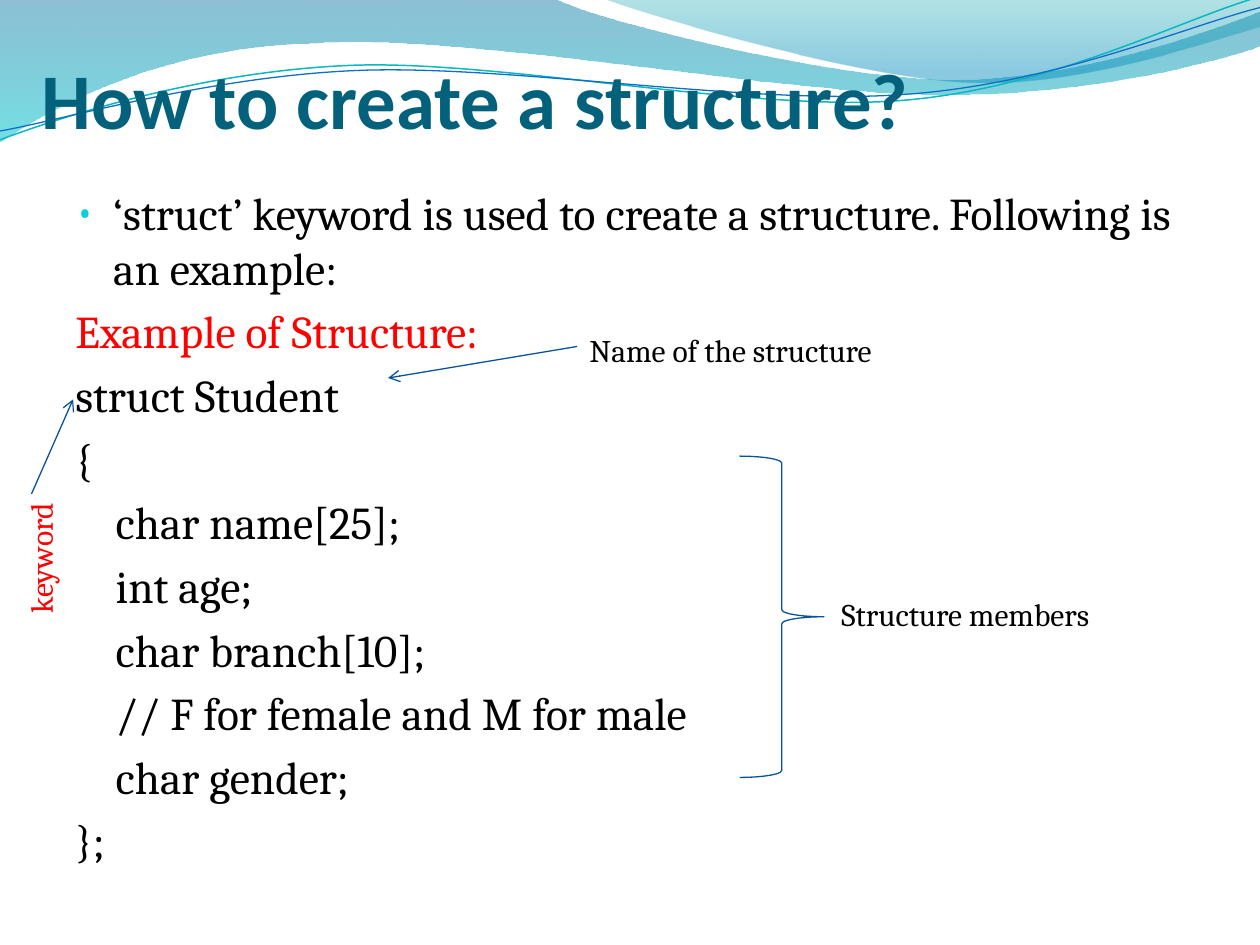
from lxml import etree
from pptx import Presentation
from pptx.dml.color import RGBColor
from pptx.enum.shapes import MSO_CONNECTOR, MSO_SHAPE
from pptx.enum.text import MSO_ANCHOR
from pptx.oxml.ns import qn
from pptx.util import Inches, Pt

BRACE = MSO_SHAPE.RIGHT_BRACE
STRAIGHT = MSO_CONNECTOR.STRAIGHT
TOP, BOTTOM = MSO_ANCHOR.TOP, MSO_ANCHOR.BOTTOM
BLACK, RED, LINE = "000000", "FF0000", "095295"

deck = Presentation()
deck.slide_width, deck.slide_height = Inches(10), Inches(7.5)
page = deck.slides.add_slide(deck.slide_layouts[6])


def rgb(value):
    return RGBColor.from_string(value)


def add_text(lines, left, top, width, height, size=18, font="Cambria", bold=False,
             anchor=TOP, insets=(0.1, 0.05, 0.1, 0.05), wrap=True, before=0):
    """Add a text box; each line is (text, color, left margin, first-line indent)."""
    box = page.shapes.add_textbox(*map(Inches, (left, top, width, height)))
    frame = box.text_frame
    frame.word_wrap, frame.vertical_anchor = wrap, anchor
    (frame.margin_left, frame.margin_top,
     frame.margin_right, frame.margin_bottom) = map(Inches, insets)
    for number, (text, color, margin, indent) in enumerate(lines):
        para = frame.add_paragraph() if number else frame.paragraphs[0]
        para.space_before = Pt(before)
        span = para.add_run()
        span.text = text
        span.font.size, span.font.name, span.font.bold = Pt(size), font, bold
        span.font.color.rgb = rgb(color)
        props = para._p.get_or_add_pPr()
        props.set("marL", str(Inches(margin)))
        props.set("indent", str(Inches(indent)))
    return box


# Header waves: each step is a line (one point) or a Bézier curve (three points)
waves = [
    dict(start=(0, 0), closed=True, stops=[(0, "0074A1", 45), (1, "00C6CF", 55)], steps=[
        [(4.4, -0.01)],
        [(4.76, 0.17), (6.64, 0.63), (7.58, 0.63)],
        [(8.53, 0.63), (9.58, 0.26), (10, 0.09)],
        [(10.01, 0.36)],
        [(9.83, 0.44), (8.7, 0.76), (7.46, 0.75)],
        [(6.22, 0.75), (3.82, 0.28), (2.57, 0.34)],
        [(1.29, 0.36), (0.46, 0.83), (-0.01, 1.13)]]),
    dict(start=(4.79, -0.01), closed=True, stops=[(0, "00A1A9", 30), (0.8, "008BBF", 45)], steps=[
        [(5.09, 0.11), (6.82, 0.62), (7.69, 0.65)],
        [(8.56, 0.69), (9.61, 0.32), (10, 0.21)],
        [(10, 0)]]),
    dict(start=(0, 1.11), closed=False, line=("0AB8BF", 0.85), steps=[
        [(0.48, 0.93), (1.58, 0.57), (2.77, 0.52)],
        [(3.95, 0.47), (5.93, 0.89), (7.13, 0.8)],
        [(8.33, 0.71), (9.38, 0.15), (9.98, -0.02)]]),
    dict(start=(0, 1.04), closed=False, line=("0F6FC6", 0.75), steps=[
        [(0.47, 0.96), (1.64, 0.61), (2.83, 0.56)],
        [(4.03, 0.51), (5.97, 0.84), (7.17, 0.75)],
        [(8.36, 0.67), (9.41, 0.21), (10, 0.06)]]),
]
for wave in waves:
    points = [tuple(map(Inches, point)) for step in wave["steps"] for point in step]
    builder = page.shapes.build_freeform(*map(Inches, wave["start"]))
    builder.add_line_segments(points, close=wave["closed"])
    shape = builder.convert_to_shape()
    shape.shadow.inherit = False

    # Merge the three segments of each curve step into one Bézier
    segments = iter(list(shape._element.iter(qn("a:lnTo"))))
    for step in wave["steps"]:
        first, *rest = [next(segments) for _ in step]
        if rest:
            curve = etree.Element(qn("a:cubicBezTo"))
            first.addprevious(curve)
            for segment in (first, *rest):
                curve.append(segment[0])
                segment.getparent().remove(segment)

    if wave["closed"]:
        shape.line.fill.background()
        shape.fill.gradient()
        shape.fill.gradient_angle = 270
        for stop, (position, color, _) in zip(shape.fill.gradient_stops, wave["stops"]):
            stop.position, stop.color.rgb = position, rgb(color)
        fill_colors = shape._element.spPr.iter(qn("a:srgbClr"))
        for node, (_, _, alpha) in zip(fill_colors, wave["stops"]):
            etree.SubElement(node, qn("a:alpha"), val=str(alpha * 1000))
    else:
        color, weight = wave["line"]
        shape.fill.background()
        shape.line.color.rgb, shape.line.width = rgb(color), Pt(weight)

# Title
add_text([("How to create a structure?", "04617B", 0, 0)], 0.33, 0.42, 9, 0.73,
         size=45, font="Calibri", bold=True, anchor=BOTTOM, insets=(0, 0.05, 0, 0))

# Body: a bulleted sentence, then the code with its members indented
members = ["char name[25];", "int age;", "char branch[10];",
           "// F for female and M for male", "char gender;"]
body = add_text(
    [("‘struct’ keyword is used to create a structure. Following is an example:",
      BLACK, 0.3, -0.3),
     ("Example of Structure:", RED, 0, 0),
     ("struct Student", BLACK, 0, 0),
     ("{", BLACK, 0, 0),
     *[(member, BLACK, 0.32, 0) for member in members],
     ("};", BLACK, 0, 0)],
    0.5, 1.42, 9, 5.5, size=26, before=5.2)
bullet = body.text_frame.paragraphs[0]._p.get_or_add_pPr()
bullet_color = etree.SubElement(bullet, qn("a:buClr"))
etree.SubElement(bullet_color, qn("a:srgbClr"), val="0BD0D9")
etree.SubElement(bullet, qn("a:buSzPct"), val="95000")
etree.SubElement(bullet, qn("a:buFont"), typeface="Cambria")
etree.SubElement(bullet, qn("a:buChar"), char="•")

# Labels
add_text([("Name of the structure", BLACK, 0, 0)], 4.58, 2.58, 2.58, 0.4, wrap=False)
add_text([("Structure members", BLACK, 0, 0)], 6.58, 4.67, 2.3, 0.4, wrap=False)
keyword = add_text([("keyword", RED, 0, 0)], -0.29, 4.16, 1.22, 0.4)
keyword.rotation = 270

# Brace around the members
brace = page.shapes.add_shape(BRACE, *map(Inches, (5.87, 3.62, 0.67, 2.55)))
brace.shadow.inherit = False
brace.fill.background()
brace.line.color.rgb, brace.line.width = rgb(LINE), Pt(0.75)

# Arrows from the labels to the code
for ends in [(4.58, 2.75, 3.08, 3), (0.25, 3.92, 0.58, 3.17)]:
    arrow = page.shapes.add_connector(STRAIGHT, *map(Inches, ends))
    arrow.line.color.rgb, arrow.line.width = rgb(LINE), Pt(0.75)
    etree.SubElement(arrow.line._get_or_add_ln(), qn("a:tailEnd"), type="arrow")
    etree.SubElement(arrow._element.spPr, qn("a:effectLst"))

deck.save("out.pptx")
